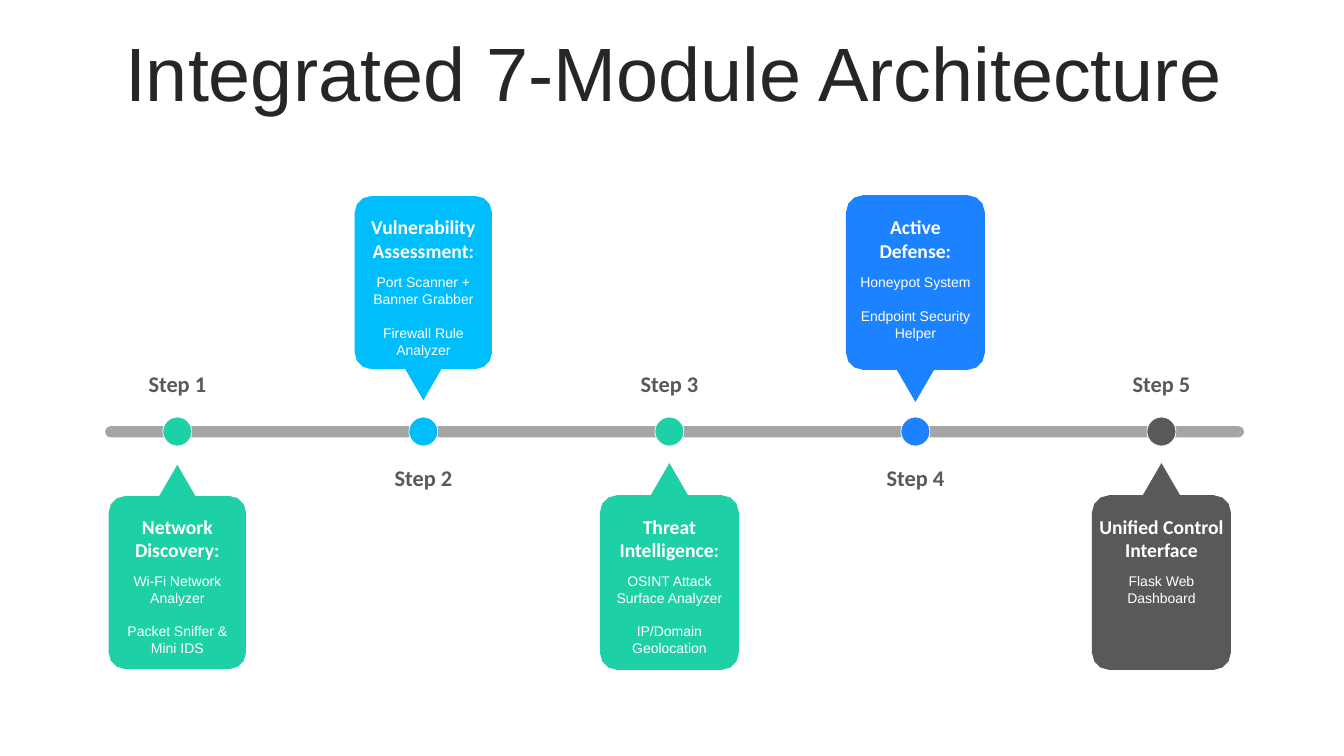
import math
import pptx
import pptx.util
import pptx.dml.color
import pptx.enum.shapes
import pptx.enum.text
import lxml.etree

Cm = pptx.util.Cm
Pt = pptx.util.Pt
Shape = pptx.enum.shapes.MSO_SHAPE
Anchor = pptx.enum.text.MSO_ANCHOR
Align = pptx.enum.text.PP_ALIGN
Fit = pptx.enum.text.MSO_AUTO_SIZE

hues = {
    "green": "1ED0A6",
    "sky": "00BDFB",
    "blue": "1C82FF",
    "gray": "595959",
    "rail": "808080",
    "dark": "262626",
    "white": "FFFFFF",
}


def paint(shape, hue, edge=0):
    shape.shadow.inherit = False
    shape.fill.solid()
    shape.fill.fore_color.rgb = pptx.dml.color.RGBColor.from_string(hues[hue])
    if edge:
        shape.line.color.rgb = pptx.dml.color.RGBColor.from_string(hues["white"])
        shape.line.width = Pt(edge)
    else:
        shape.line.fill.background()


def write(shape, lines, font, size, hue, bold=False, gap=0):
    frame = shape.text_frame
    frame.word_wrap = True
    frame.text = "\n".join(lines)
    for num, para in enumerate(frame.paragraphs):
        para.alignment = Align.CENTER
        if num:
            para.space_before = Pt(gap)
        for run in para.runs:
            run.font.name = font
            run.font.size = Pt(size)
            run.font.bold = bold
            run.font.color.rgb = pptx.dml.color.RGBColor.from_string(hues[hue])


deck = pptx.Presentation()
deck.slide_width = Cm(33.87)
deck.slide_height = Cm(19.05)
slide = deck.slides.add_slide(deck.slide_layouts[5])
shapes = slide.shapes

title = shapes.title
title.left, title.top = Cm(0.89), Cm(0.94)
title.width, title.height = Cm(32.16), Cm(2)
write(title, ["Integrated 7-Module Architecture"], "Arial", 54, "dark")
title.text_frame.vertical_anchor = Anchor.MIDDLE
title.text_frame.auto_size = Fit.NONE
title.text_frame.paragraphs[0].line_spacing = 0.9

rail = shapes.add_shape(Shape.ROUNDED_RECTANGLE, Cm(2.65), Cm(10.82), Cm(28.7), Cm(0.28))
rail.top = Cm(10.74)
rail.adjustments[0] = 0.5
paint(rail, "rail")
tone = rail.fill._xPr.find(".//" + pptx.oxml.ns.qn("a:srgbClr"))
lxml.etree.SubElement(tone, pptx.oxml.ns.qn("a:alpha"), val="70000")

steps = [
    ("green", 1, 3.5, ["Network Discovery:"],
     ["Wi-Fi Network Analyzer", "Packet Sniffer & Mini IDS"]),
    ("sky", 1, 3.5, ["Vulnerability Assessment:"],
     ["Port Scanner + Banner Grabber", "Firewall Rule Analyzer"]),
    ("green", 0, 3.5, ["Threat Intelligence:"],
     ["OSINT Attack Surface Analyzer", "IP/Domain Geolocation"]),
    ("blue", 0, 3.5, ["Active Defense:"],
     ["Honeypot System", "Endpoint Security Helper"]),
    ("gray", 0, 4.42, ["Unified Control Interface"],
     ["Flask Web Dashboard"]),
]

wide, tall, tail, half, curve, dot = 3.5, 5.21, 0.81, 0.47, 0.43, 0.73
side = wide / 2 - curve
turns = [
    (side, tail + curve, -90),
    (side, tall - curve, 0),
    (-side, tall - curve, 90),
    (-side, tail + curve, 180),
]
edges = [(half, tail)]
for x, y, start in turns:
    for step in range(0, 91, 30):
        turn = math.radians(start + step)
        edges.append((x + curve * math.cos(turn), y + curve * math.sin(turn)))
edges.append((-half, tail))

for num, (hue, edge, span, head, body) in enumerate(steps):
    mid = 4.47 + 6.2 * num
    above = num % 2
    way = -1 if above else 1
    tip = 10.13 if above else 11.67

    disc = shapes.add_shape(Shape.OVAL, Cm(mid - dot / 2), Cm(10.51), Cm(dot), Cm(dot))
    paint(disc, hue, 0.5)

    pen = shapes.build_freeform(Cm(mid), Cm(tip))
    pen.add_line_segments([(Cm(mid + x), Cm(tip + way * y)) for x, y in edges])
    paint(pen.convert_to_shape(), hue, edge)

    texts = [
        (head, 5.3 if above else 12.84, span, 1.45, "Calibri", 14, "white", True),
        (body, 6.78 if above else 14.3, wide, 2.39, "Arial", 10, "white", False),
        ([f"Step {num + 1}"], 11.58 if above else 9.21, wide, 0.94, "Calibri", 16, "gray", True),
    ]
    for lines, top, room, high, font, size, tint, bold in texts:
        box = shapes.add_textbox(Cm(mid - room / 2), Cm(top), Cm(room), Cm(high))
        write(box, lines, font, size, tint, bold, 12)
        box.text_frame.auto_size = Fit.SHAPE_TO_FIT_TEXT

deck.save("out.pptx")
